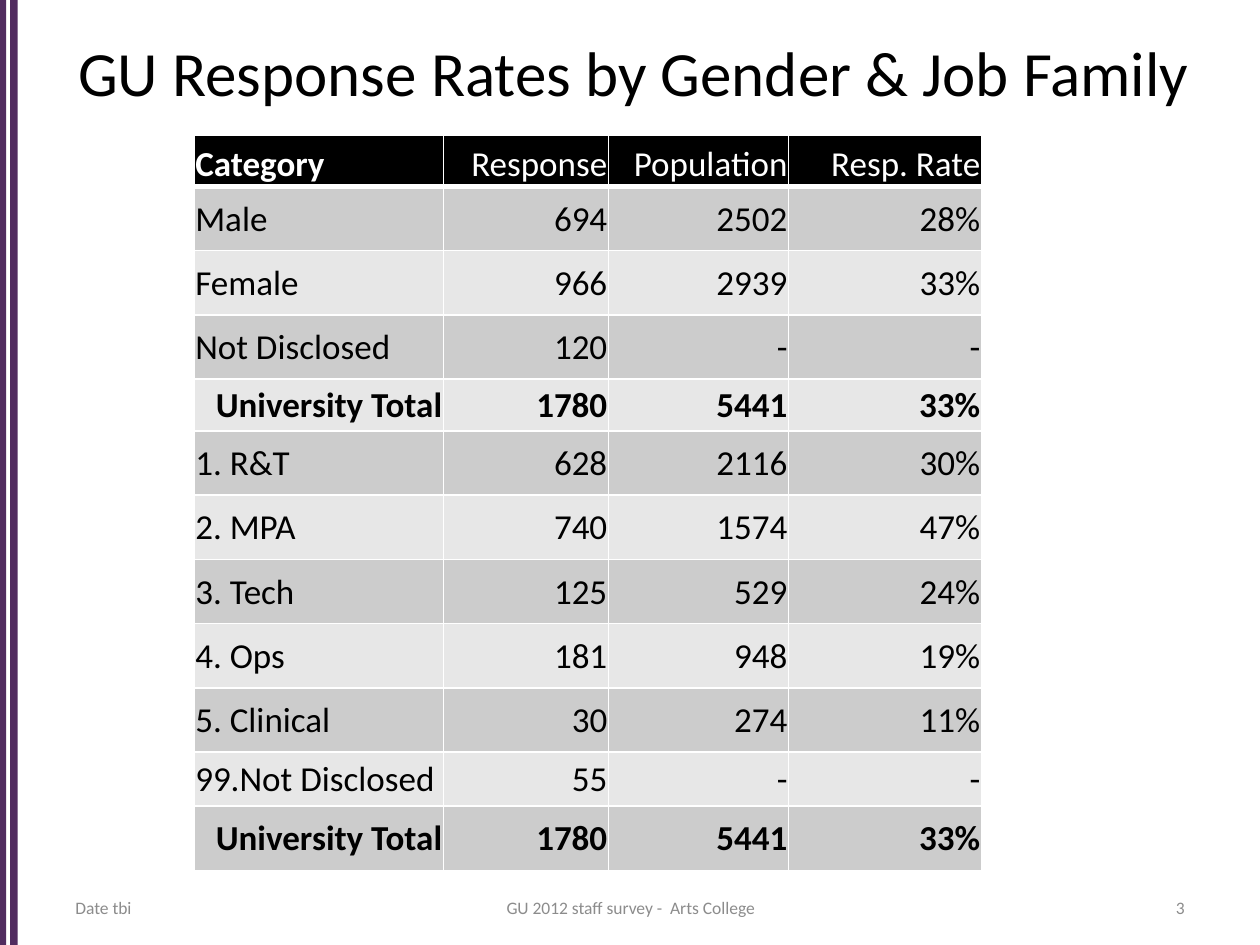
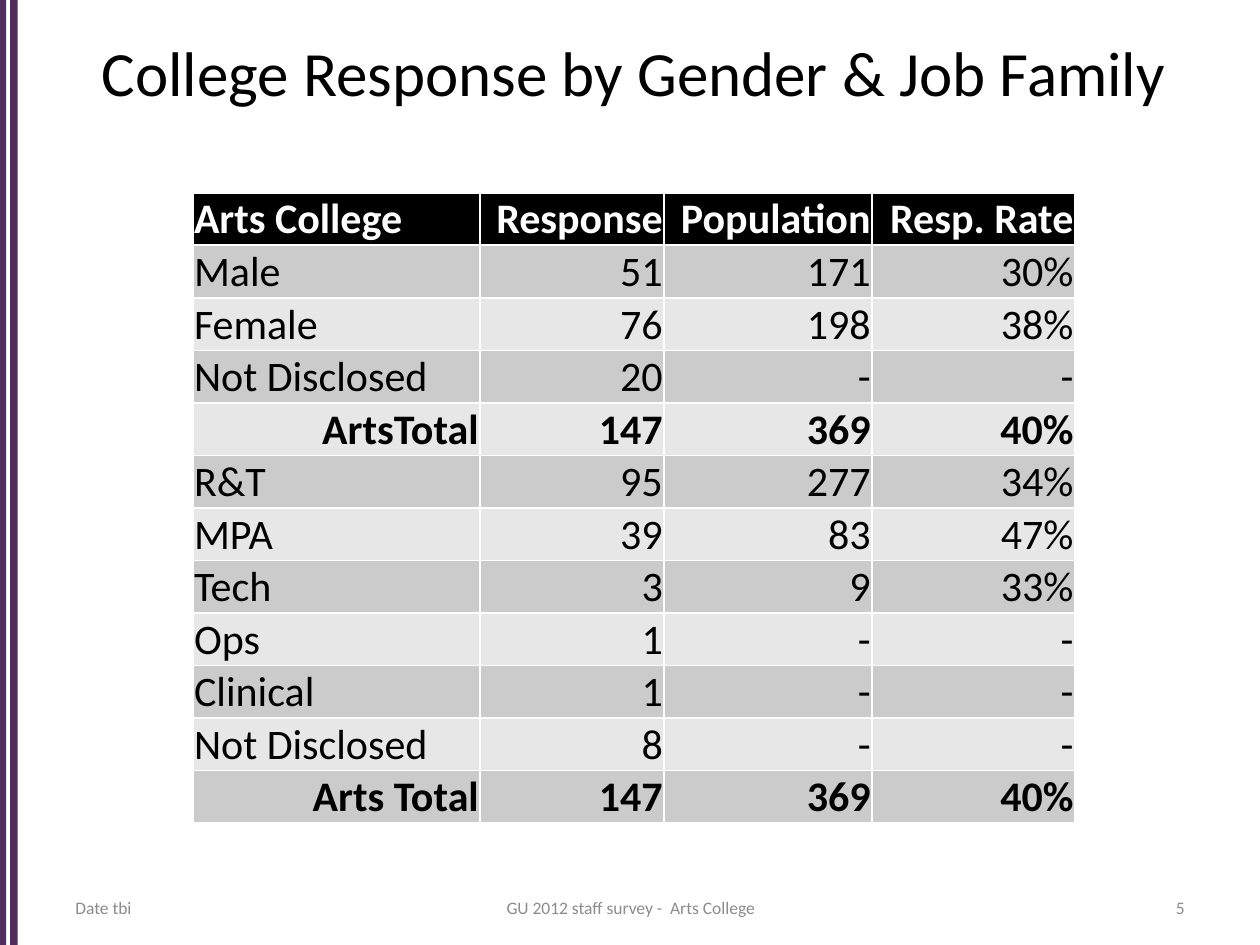
import pptx
import pptx.util
import pptx.dml.color
import pptx.enum.shapes
import pptx.enum.text
import pptx.oxml
import pptx.oxml.ns
from pptx.util import Inches

# Content
FOOTER_DATE = "Date tbi"
FOOTER_TEXT = "GU 2012 staff survey -  Arts College"

PAGES = [
    {
        "title": "GU Response Rates by Gender & Job Family",
        "number": "3",
        "rows": [
            ("Category", "Response", "Population", "Resp. Rate"),
            ("Male", "694", "2502", "28%"),
            ("Female", "966", "2939", "33%"),
            ("Not Disclosed", "120", "-", "-"),
            ("University Total", "1780", "5441", "33%"),
            ("1. R&T", "628", "2116", "30%"),
            ("2. MPA", "740", "1574", "47%"),
            ("3. Tech", "125", "529", "24%"),
            ("4. Ops", "181", "948", "19%"),
            ("5. Clinical", "30", "274", "11%"),
            ("99.Not Disclosed", "55", "-", "-"),
            ("University Total", "1780", "5441", "33%"),
        ],
        "left": 1.54, "top": 1.07,
        "widths": [1.98, 1.31, 1.43, 1.53],
        "row_height": 0.51,
        "short_rows": {0: 0.41, 4: 0.41, 10: 0.43},
        "size": 20,
        "bold_headers": 1,
        "header_anchor": "BOTTOM",
        "header_rule": 3, "first_row_rule": 1,
        "dark_stripe": "stripe_one",
    },
    {
        "title": "College Response by Gender & Job Family",
        "number": "5",
        "rows": [
            ("Arts College", "Response", "Population", "Resp. Rate"),
            ("Male", "51", "171", "30%"),
            ("Female", "76", "198", "38%"),
            ("Not Disclosed", "20", "-", "-"),
            ("ArtsTotal", "147", "369", "40%"),
            ("R&T", "95", "277", "34%"),
            ("MPA", "39", "83", "47%"),
            ("Tech", "3", "9", "33%"),
            ("Ops", "1", "-", "-"),
            ("Clinical", "1", "-", "-"),
            ("Not Disclosed", "8", "-", "-"),
            ("Arts Total", "147", "369", "40%"),
        ],
        "left": 1.53, "top": 1.53,
        "widths": [2.28, 1.46, 1.65, 1.61],
        "row_height": 5 / 12,
        "short_rows": {},
        "size": 24,
        "bold_headers": 4,
        "header_anchor": "MIDDLE",
        "header_rule": 1.5, "first_row_rule": 1.5,
        "dark_stripe": "stripe_two",
    },
]

# Shared style
FONT = "Calibri"
COLOURS = {
    "band": "512C5F", "black": "000000", "white": "FFFFFF", "footer": "8C8C8C",
    "stripe_one": "CCCCCC", "stripe_two": "CBCBCB", "light_stripe": "E7E7E7",
}
BAND_LEFTS = [0.08, -0.01]
ALIGN = pptx.enum.text.PP_ALIGN
ANCHOR = pptx.enum.text.MSO_ANCHOR
FOOTERS = [(0.5, 2.33, ALIGN.LEFT), (3.42, 3.17, ALIGN.CENTER), (7.17, 2.33, ALIGN.RIGHT)]


def colour(name):
    return pptx.dml.color.RGBColor.from_string(COLOURS[name])


def write(frame, text, size, ink, align, bold=False):
    para = frame.paragraphs[0]
    para.alignment = align
    span = para.add_run()
    span.text = text
    span.font.name = FONT
    span.font.size = pptx.util.Pt(size)
    span.font.bold = bold
    span.font.color.rgb = colour(ink)


def add_bands(page):
    for left in BAND_LEFTS:
        band = page.shapes.add_shape(pptx.enum.shapes.MSO_SHAPE.RECTANGLE,
                                     Inches(left), 0, Inches(0.06), Inches(7.5))
        band.shadow.inherit = False
        band.fill.solid()
        band.fill.fore_color.rgb = colour("band")
        band.line.fill.background()


def add_title(page, text):
    title = page.shapes.title
    title.left, title.top = Inches(0.5), Inches(0.13)
    title.width, title.height = Inches(9.06), Inches(0.87)
    title.text_frame.vertical_anchor = ANCHOR.MIDDLE
    write(title.text_frame, text, 36, "black", ALIGN.CENTER)


def add_footers(page, number):
    for text, (left, width, align) in zip((FOOTER_DATE, FOOTER_TEXT, number), FOOTERS):
        box = page.shapes.add_textbox(Inches(left), Inches(7.06), Inches(width), Inches(0.29))
        box.text_frame.word_wrap = True
        box.text_frame.vertical_anchor = ANCHOR.MIDDLE
        write(box.text_frame, text, 10, "footer", align)


def set_borders(cell, top, bottom):
    properties = cell._tc.get_or_add_tcPr()
    for side, points in (("L", 1), ("R", 1), ("T", top), ("B", bottom)):
        properties.append(pptx.oxml.parse_xml(
            f'<a:ln{side} {pptx.oxml.ns.nsdecls("a")} w="{pptx.util.Pt(points)}">'
            f'<a:solidFill><a:srgbClr val="{COLOURS["white"]}"/></a:solidFill></a:ln{side}>'))


def add_response_table(page, content):
    rows, widths = content["rows"], content["widths"]
    heights = [content["short_rows"].get(i, content["row_height"]) for i in range(len(rows))]
    table = page.shapes.add_table(
        len(rows), len(widths), Inches(content["left"]), Inches(content["top"]),
        Inches(sum(widths)), Inches(sum(heights))).table
    for column, width in zip(table.columns, widths):
        column.width = Inches(width)

    for r, row in enumerate(rows):
        table.rows[r].height = Inches(heights[r])
        header, total = r == 0, row[0].endswith("Total")
        if header:
            fill = "black"
        else:
            fill = content["dark_stripe"] if r % 2 else "light_stripe"
        for c, text in enumerate(row):
            cell = table.cell(r, c)
            cell.margin_left = cell.margin_right = cell.margin_top = Inches(0.01)
            cell.margin_bottom = 0
            cell.vertical_anchor = ANCHOR[content["header_anchor"]] if header else ANCHOR.MIDDLE
            set_borders(cell, content["first_row_rule"] if r == 1 else 1,
                        content["header_rule"] if header else 1)
            cell.fill.solid()
            cell.fill.fore_color.rgb = colour(fill)
            write(cell.text_frame, text, content["size"],
                  "white" if header else "black",
                  ALIGN.RIGHT if c or total else ALIGN.LEFT,
                  c < content["bold_headers"] if header else total)


def main():
    deck = pptx.Presentation()
    deck.slide_width, deck.slide_height = Inches(10), Inches(7.5)
    title_only = deck.slide_layouts[5]
    for content in PAGES:
        page = deck.slides.add_slide(title_only)
        add_bands(page)
        add_title(page, content["title"])
        add_response_table(page, content)
        add_footers(page, content["number"])
    deck.save("out.pptx")


if __name__ == "__main__":
    main()
